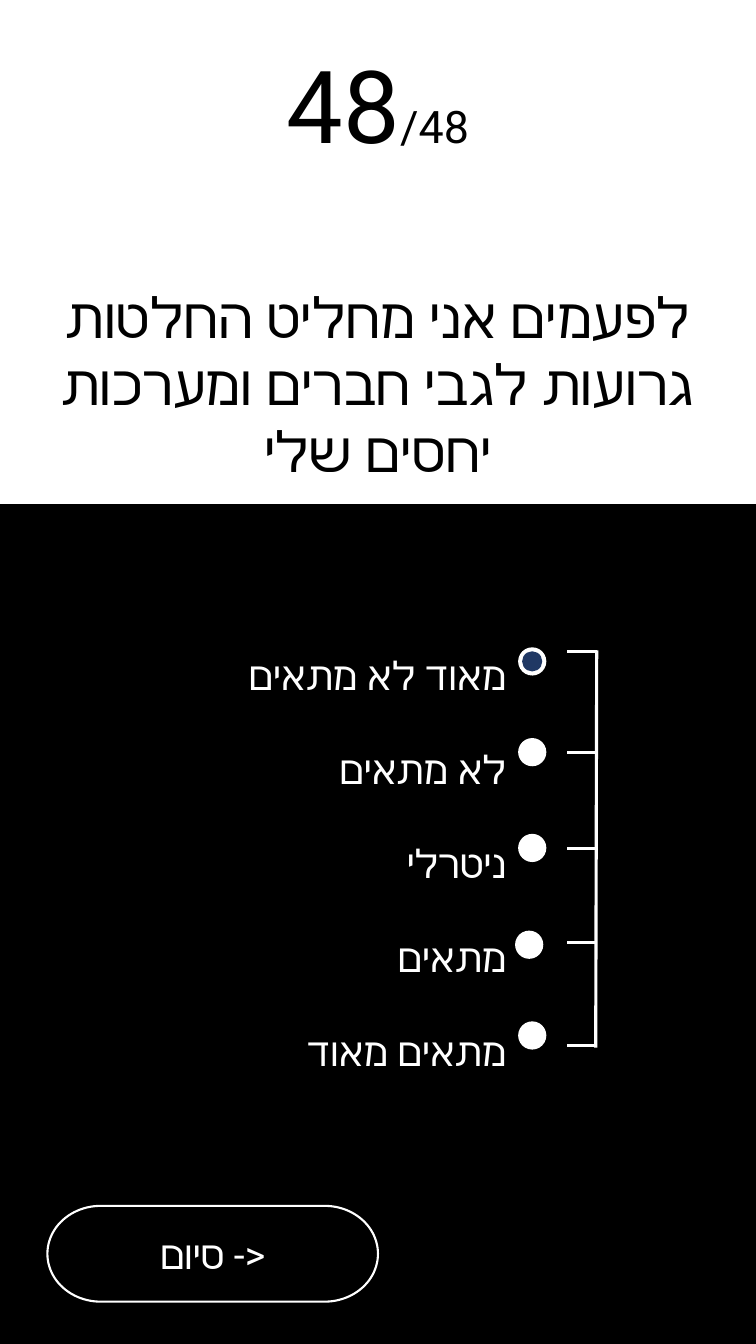
from dataclasses import dataclass

from lxml.etree import SubElement
from pptx import Presentation
from pptx.dml.color import RGBColor
from pptx.enum.shapes import MSO_CONNECTOR as Connector, MSO_SHAPE as Shape
from pptx.enum.text import MSO_ANCHOR as Anchor, MSO_AUTO_SIZE as AutoSize, PP_ALIGN as Align
from pptx.oxml.ns import qn
from pptx.util import Inches, Pt


@dataclass(frozen=True)
class Theme:
    font: str = "Roboto"
    black: RGBColor = RGBColor(0, 0, 0)
    white: RGBColor = RGBColor(255, 255, 255)
    navy: RGBColor = RGBColor(0x20, 0x38, 0x64)
    counter: int = 72
    total: int = 32
    question: int = 40
    answer: int = 28


theme = Theme()


def write(paragraph, text, size, color, align=Align.CENTER, spacing=None, rtl=False):
    paragraph.alignment = align
    if spacing:
        paragraph.line_spacing = spacing
    if rtl:
        paragraph._p.get_or_add_pPr().set("rtl", "1")
    run = paragraph.add_run()
    run.text = text
    run.font.size = Pt(size)
    run.font.color.rgb = color
    run.font.name = theme.font
    # Hebrew letters take the complex-script font
    SubElement(run.font._element, qn("a:cs"), typeface=theme.font)


def add_shape(shapes, kind, left, top, width, height, fill=None, line=None):
    shape = shapes.add_shape(kind, Inches(left), Inches(top), Inches(width), Inches(height))
    shape.shadow.inherit = False
    if fill is None:
        shape.fill.background()
    else:
        shape.fill.solid()
        shape.fill.fore_color.rgb = fill
    if line is None:
        shape.line.fill.background()
    else:
        shape.line.color.rgb = line
        shape.line.width = Pt(1.5)
    return shape


presentation = Presentation()
presentation.slide_width = Inches(7.5)
presentation.slide_height = Inches(13.33)
slide = presentation.slides.add_slide(presentation.slide_layouts[5])
slide.background.fill.solid()
slide.background.fill.fore_color.rgb = theme.white

# Lower half
add_shape(slide.shapes, Shape.RECTANGLE, 0, 5, 7.5, 8.33, fill=theme.black)

# Question
title = slide.shapes.title
title.left, title.top, title.width, title.height = Inches(0), Inches(2.75), Inches(7.5), Inches(2.12)
title.text_frame.vertical_anchor = Anchor.TOP
title.text_frame.word_wrap = True
title.text_frame.auto_size = AutoSize.SHAPE_TO_FIT_TEXT
write(title.text_frame.paragraphs[0],
      "לפעמים אני מחליט החלטות גרועות לגבי חברים ומערכות יחסים שלי",
      theme.question, theme.black)

# Finish button
button = add_shape(slide.shapes, Shape.FLOWCHART_TERMINATOR, 0.47, 11.96, 3.28, 0.95, line=theme.white)
button.text_frame.vertical_anchor = Anchor.MIDDLE
write(button.text_frame.paragraphs[0], "סיום ->", theme.answer, theme.white)

# Question counter
counter = slide.shapes.add_textbox(Inches(0), Inches(0.37), Inches(7.5), Inches(1.31))
counter.text_frame.word_wrap = True
counter.text_frame.auto_size = AutoSize.SHAPE_TO_FIT_TEXT
for text, size in (("48", theme.counter), ("/48", theme.total)):
    write(counter.text_frame.paragraphs[0], text, size, theme.black)

# Answer labels
scale = slide.shapes.add_group_shape().shapes
labels = scale.add_textbox(Inches(0), Inches(5.94), Inches(5.12), Inches(4.7)).text_frame
labels.word_wrap = True
labels.auto_size = AutoSize.SHAPE_TO_FIT_TEXT
answers = ["מאוד לא מתאים", "לא מתאים", "ניטרלי", "מתאים", "מתאים מאוד"]
for index, answer in enumerate(answers):
    paragraph = labels.add_paragraph() if index else labels.paragraphs[0]
    write(paragraph, answer, theme.answer, theme.white, align=Align.RIGHT, spacing=2.0, rtl=True)

# Scale bracket: one spine and a tick for each answer
spine = (5.92, 6.45, 5.91, 10.39)
ticks = [(5.63, y, 5.92, y) for y in (6.46, 7.46, 8.42, 9.35, 10.37)]
for ends in [spine, *ticks]:
    line = scale.add_connector(Connector.STRAIGHT, *map(Inches, ends))
    line.line.color.rgb = theme.white
    line.line.width = Pt(2.25)
    SubElement(line._element.spPr, qn("a:effectLst"))

# Answer buttons, the first one selected
for left, top in ((5.14, 6.42), (5.14, 7.32), (5.14, 8.27), (5.11, 9.23), (5.14, 10.13)):
    add_shape(scale, Shape.OVAL, left, top, 0.28, 0.28, fill=theme.white)
add_shape(scale, Shape.OVAL, 5.18, 6.46, 0.2, 0.2, fill=theme.navy)

presentation.save("out.pptx")
